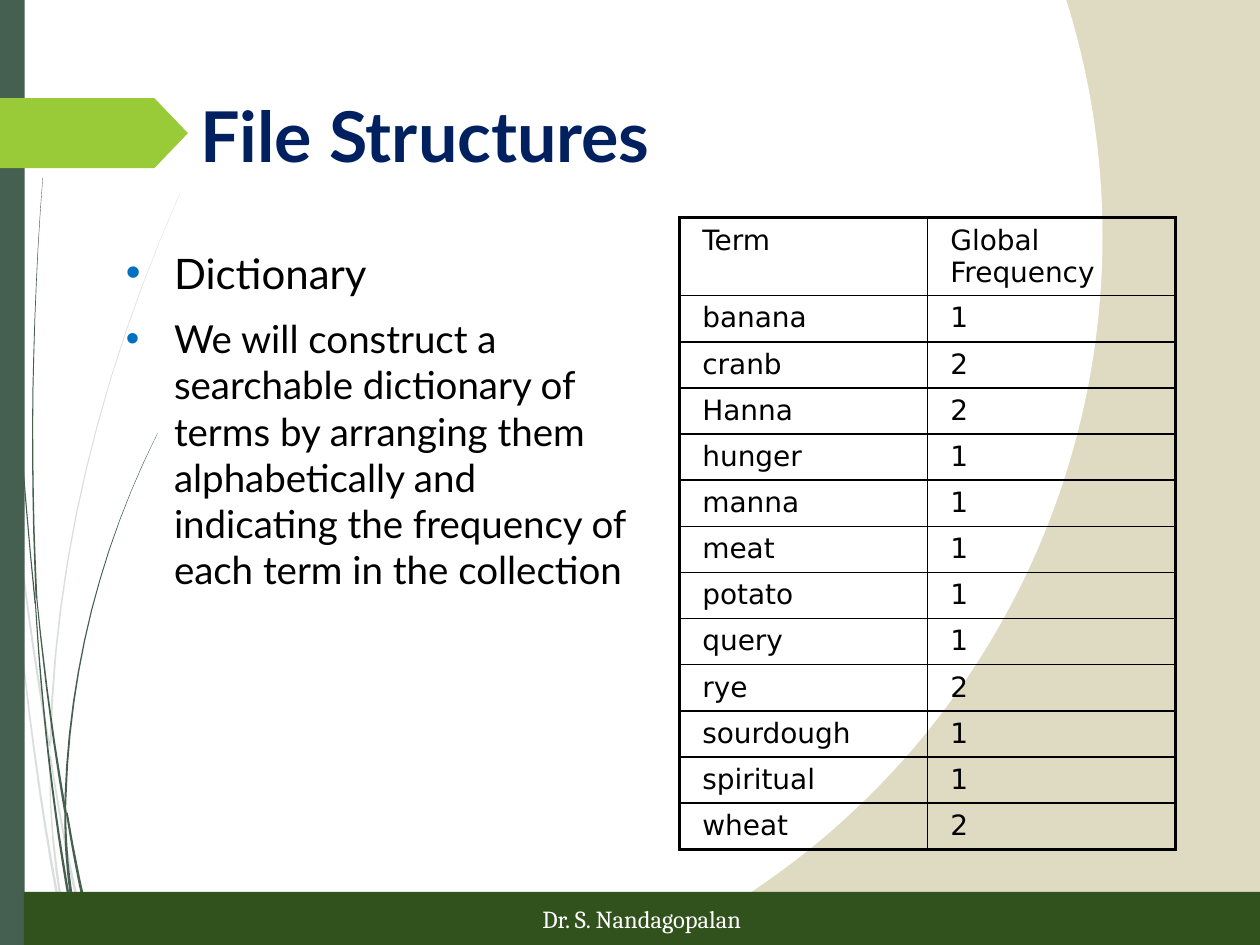
"""Build the File Structures slide with its dictionary table."""
from lxml.etree import SubElement
from pptx import Presentation
from pptx.dml.color import RGBColor
from pptx.enum.shapes import MSO_SHAPE
from pptx.enum.text import MSO_ANCHOR, PP_ALIGN
from pptx.oxml.ns import qn
from pptx.util import Cm, Pt

rgb = RGBColor.from_string


def paint(sp, color, alpha=100):
    sp.shadow.inherit = False
    sp.fill.solid()
    sp.fill.fore_color.rgb = rgb(color)
    sp.line.fill.background()
    if alpha < 100:
        clr = sp._element.spPr.find(qn("a:solidFill"))[0]
        SubElement(clr, qn("a:alpha"), val=str(alpha * 1000))


def write(p, text, size, font="Lato", color="000000", bold=False, align=PP_ALIGN.LEFT):
    p.alignment = align
    r = p.add_run()
    r.text = text
    r.font.size = Pt(size)
    r.font.name = font
    r.font.bold = bold
    r.font.color.rgb = rgb(color)


GREEN, BLACK = "455F51", "000000"
PALE, SOLID = 20, 100
WISP_UNIT = Cm(2.54) / 1000
WISP_STEPS = 12
WISPS = [
    # opacity, start, bend, end, width at start, width at end
    (PALE, (1430, 1530), (450, 3750), (400, 5900), 2, 16),
    (PALE, (60, 3450), (180, 4700), (390, 5920), 8, 20),
    (PALE, (400, 6000), (520, 6800), (700, 7510), 12, 24),
    (PALE, (50, 3500), (140, 5400), (460, 7140), 4, 20),
    (PALE, (400, 5900), (380, 6500), (480, 7110), 4, 20),
    (PALE, (460, 7120), (500, 7350), (550, 7510), 10, 30),
    (SOLID, (20, 0), (40, 2400), (280, 4790), 4, 10),
    (SOLID, (340, 1410), (210, 3100), (290, 4750), 2, 14),
    (SOLID, (290, 4720), (380, 5650), (520, 6450), 8, 20),
    (SOLID, (530, 6450), (620, 7000), (745, 7490), 16, 26),
    (SOLID, (280, 4770), (360, 6100), (560, 7200), 8, 20),
    (SOLID, (1250, 3440), (570, 4800), (520, 6330), 2, 16),
    (SOLID, (520, 6330), (510, 6800), (580, 7190), 14, 24),
    (SOLID, (570, 7190), (590, 7350), (640, 7490), 16, 36),
]
TERMS = [
    ("Term", "Global Frequency"), ("banana", "1"), ("cranb", "2"), ("Hanna", "2"),
    ("hunger", "1"), ("manna", "1"), ("meat", "1"), ("potato", "1"), ("query", "1"),
    ("rye", "2"), ("sourdough", "1"), ("spiritual", "1"), ("wheat", "2"),
]
BULLETS = [
    ("Dictionary", 24),
    ("We will construct a searchable dictionary of terms by arranging them alphabetically "
     "and indicating the frequency of each term in the collection", 22),
]

prs = Presentation()
prs.slide_width, prs.slide_height = Cm(25.4), Cm(19.05)
s = prs.slides.add_slide(prs.slide_layouts[5])

fill = s.background.fill
fill.gradient()
for stop, color in zip(fill.gradient_stops, ("FFFFFF", "DFDBC2")):
    stop.color.rgb = rgb(color)
    stop.position = 1
grad = s._element.find(".//" + qn("a:gradFill"))
grad.remove(grad.find(qn("a:lin")))
circle = SubElement(grad, qn("a:path"), path="circle")
SubElement(circle, qn("a:fillToRect"), l="50000", t="50000", r="100000", b="100000")

for alpha, start, bend, end, start_width, end_width in WISPS:
    left_edge, right_edge = [], []
    for step in range(WISP_STEPS + 1):
        t = step / WISP_STEPS
        x, y = ((1 - t) ** 2 * a + 2 * t * (1 - t) * b + t ** 2 * c
                for a, b, c in zip(start, bend, end))
        half = (start_width + (end_width - start_width) * t) / 2
        left_edge.append((x - half, y))
        right_edge.append((x + half, y))
    outline = left_edge + right_edge[::-1]
    builder = s.shapes.build_freeform(*outline[0], scale=WISP_UNIT)
    builder.add_line_segments(outline[1:], close=True)
    paint(builder.convert_to_shape(), GREEN, alpha)

side_bar = s.shapes.add_shape(MSO_SHAPE.RECTANGLE, 0, 0, Cm(0.5), Cm(19.05))
paint(side_bar, GREEN)
title_arrow = s.shapes.add_shape(MSO_SHAPE.PENTAGON, 0, Cm(1.98), Cm(3.79), Cm(1.41))
title_arrow.adjustments[0] = 0.48
paint(title_arrow, "99CB38")
footer = s.shapes.add_shape(MSO_SHAPE.RECTANGLE, Cm(0.48), Cm(17.98), Cm(24.92), Cm(1.07))
paint(footer, "31521C")
footer.text_frame.vertical_anchor = MSO_ANCHOR.MIDDLE
write(footer.text_frame.paragraphs[0], "Dr. S. Nandagopalan", 14, "Cambria", "FFFFFF",
      align=PP_ALIGN.CENTER)

title = s.shapes.title
title.left, title.top, title.width, title.height = Cm(3.78), Cm(1.73), Cm(19.91), Cm(2.46)
title.text_frame.vertical_anchor = MSO_ANCHOR.TOP
write(title.text_frame.paragraphs[0], "File Structures", 40, color="002060", bold=True)

table = s.shapes.add_table(len(TERMS), 2, Cm(13.7), Cm(4.39), Cm(10), Cm(12.73)).table
table.first_row = table.horz_banding = False
for col in table.columns:
    col.width = Cm(5)
for i, terms in enumerate(TERMS):
    table.rows[i].height = Cm(0.93 if i else 1.57)
    for j, text in enumerate(terms):
        cell = table.cell(i, j)
        cell.margin_left = cell.margin_right = Cm(0.46)
        cell.margin_top = cell.margin_bottom = Cm(0.13)
        write(cell.text_frame.paragraphs[0], text, 16, "DejaVu Sans")
        outer = {"L": j == 0, "R": j == 1, "T": i == 0, "B": i == len(TERMS) - 1}
        for side, is_outer in outer.items():
            ln = SubElement(cell._tc.get_or_add_tcPr(), qn("a:ln" + side),
                            w=str(Pt(2.25 if is_outer else 1)))
            SubElement(SubElement(ln, qn("a:solidFill")), qn("a:srgbClr"), val=BLACK)
        cell.fill.background()

body = s.shapes.add_textbox(Cm(2.29), Cm(4.86), Cm(10.9), Cm(11.86))
tf = body.text_frame
tf.word_wrap = True
for i, (text, size) in enumerate(BULLETS):
    p = tf.add_paragraph() if i else tf.paragraphs[0]
    p.space_before = Pt(10 if i else 0)
    pPr = p._p.get_or_add_pPr()
    pPr.set("marL", str(Cm(0.97)))
    pPr.set("indent", str(-Cm(0.97)))
    SubElement(SubElement(pPr, qn("a:buClr")), qn("a:srgbClr"), val="0070C0")
    SubElement(pPr, qn("a:buSzPct"), val="100000")
    SubElement(pPr, qn("a:buFont"), typeface="Arial")
    SubElement(pPr, qn("a:buChar"), char="•")
    write(p, text, size)

prs.save("out.pptx")
